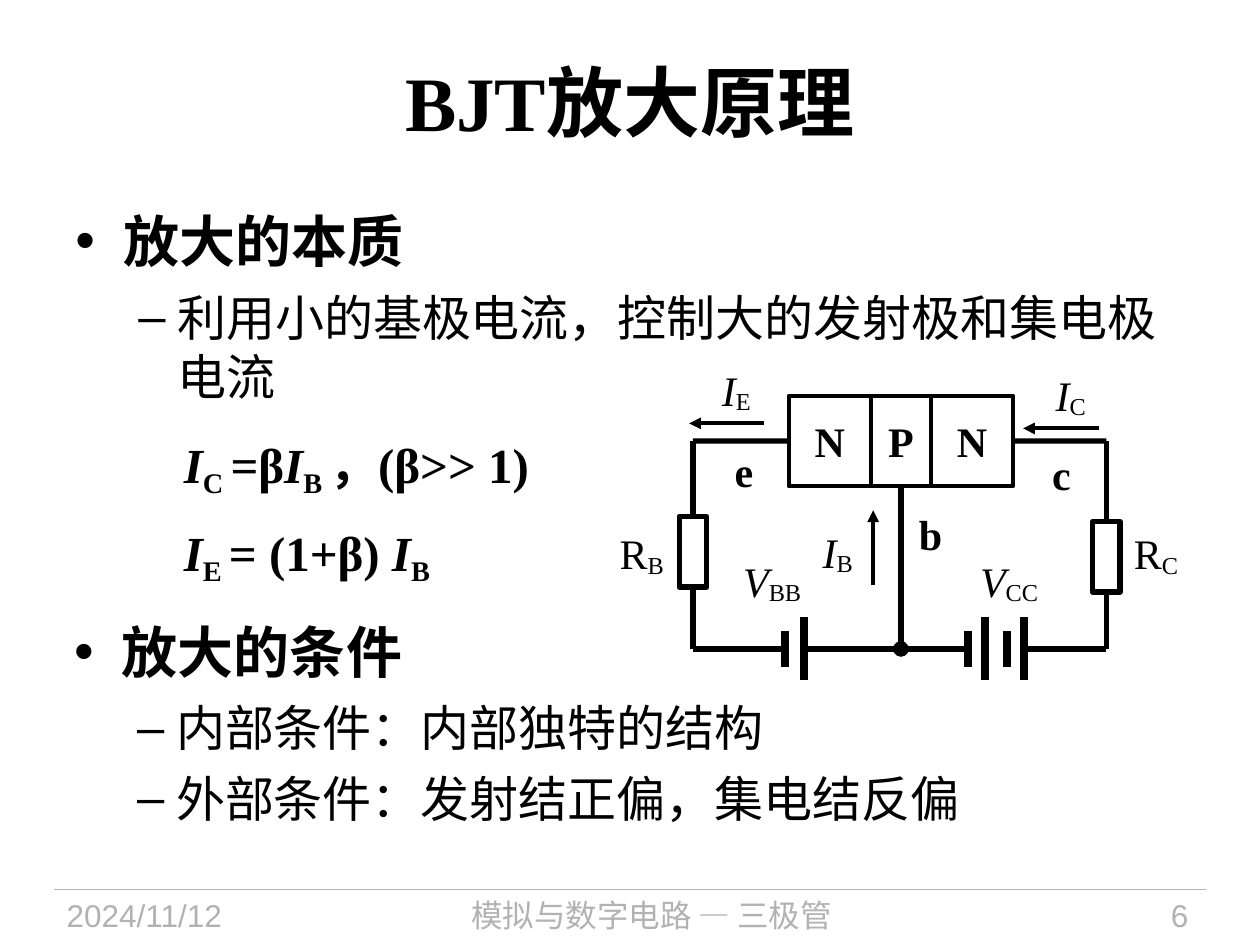
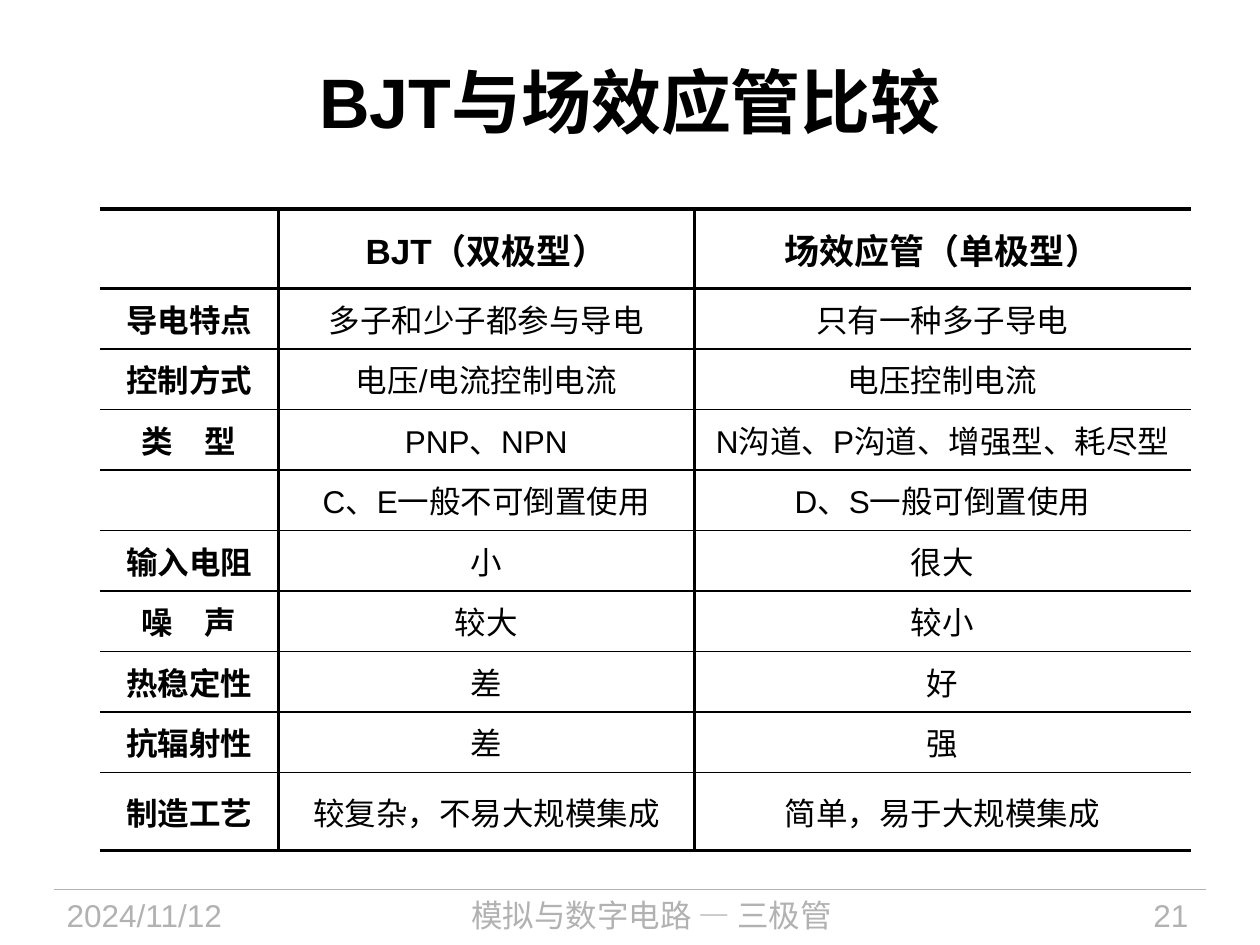
from pptx import Presentation
from pptx.dml.color import RGBColor
from pptx.enum import shapes, text
from pptx.oxml import parse_xml
from pptx.oxml.ns import nsdecls
from pptx.util import Inches, Pt

BLACK, WHITE, GREY = "000000", "FFFFFF", "B2B2B2"
SANS, SERIF = "Arial", "Times New Roman"
LEFT, CENTER, RIGHT = text.PP_ALIGN.LEFT, text.PP_ALIGN.CENTER, text.PP_ALIGN.RIGHT
MIDDLE = text.MSO_ANCHOR.MIDDLE


def color(value):
    return RGBColor.from_string(value)


def drawing(tag, body="", attributes=""):
    return parse_xml(f"<a:{tag} {nsdecls('a')} {attributes}>{body}</a:{tag}>")


def format_span(span, size, font, ink=BLACK, style="", base=0):
    span.font.size = Pt(size)
    span.font.name = font
    span.font.color.rgb = color(ink)
    span.font.bold = "b" in style
    span.font.italic = "i" in style
    if base:
        span._r.get_or_add_rPr().set("baseline", str(base * 1000))


def add_text(page, box, align=LEFT, anchor=None, wrap=True, inset=True):
    shape = page.shapes.add_textbox(*map(Inches, box))
    frame = shape.text_frame
    frame.word_wrap = wrap
    if anchor is not None:
        frame.vertical_anchor = anchor
    if not inset:
        frame.margin_left = frame.margin_right = frame.margin_top = frame.margin_bottom = 0
    frame.paragraphs[0].alignment = align
    return frame


def add_spans(para, pieces, size, ink=BLACK):
    for words, font, style, base in pieces:
        span = para.add_run()
        span.text = words
        format_span(span, size, font, ink, style, base)


def add_line(page, start, end, width=3, ink=BLACK, tail=None):
    line = page.shapes.add_connector(
        shapes.MSO_CONNECTOR.STRAIGHT, *map(Inches, (*start, *end)))
    line.line.width = Pt(width)
    line.line.color.rgb = color(ink)
    if tail:
        line.line._get_or_add_ln().append(drawing("tailEnd", attributes=f'type="{tail}"'))
    line._element.spPr.append(drawing("effectLst"))
    return line


def add_block(page, box, width, label=""):
    block = page.shapes.add_shape(shapes.MSO_SHAPE.RECTANGLE, *map(Inches, box))
    block.shadow.inherit = False
    block.fill.solid()
    block.fill.fore_color.rgb = color(WHITE)
    block.line.color.rgb = color(BLACK)
    block.line.width = Pt(width)
    if label:
        frame = block.text_frame
        frame.word_wrap = False
        frame.vertical_anchor = MIDDLE
        frame.text = label
        frame.paragraphs[0].alignment = CENTER
        format_span(frame.paragraphs[0].runs[0], 24, SERIF, style="b")
    return block


def add_title(page, pieces, size):
    frame = add_text(page, (0.5, 0.17, 9, 1.25), CENTER, MIDDLE)
    add_spans(frame.paragraphs[0], [(words, font, "b", 0) for words, font in pieces], size)


def add_footer(page, number, left=0.43, top=7.06):
    add_line(page, (left, top), (left + 9.14, top), 0.75, GREY)
    course = [("模拟与数字电路 ", SANS), ("— ", SERIF), ("三极管", SANS)]
    for offset, width, align, pieces in (
            (0, 1.88, LEFT, [("2024/11/12", SANS)]),
            (2.06, 5.36, CENTER, course),
            (7.77, 1.33, RIGHT, [(str(number), SANS)])):
        frame = add_text(page, (left + offset, top, width, 0.44), align)
        add_spans(frame.paragraphs[0], [(*piece, "", 0) for piece in pieces], 18, GREY)


def add_outline(page, box, heading, details):
    frame = add_text(page, box)
    for index, words in enumerate([heading, *details]):
        para = frame.add_paragraph() if index else frame.paragraphs[0]
        size, margin, hang, mark, style = (
            (28, 0.81, 0.31, "–", "") if index else (32, 0.38, 0.38, "•", "b"))
        para.text = words
        para.space_after = Pt(size * 0.24)
        format_span(para.runs[0], size, SANS, style=style)
        props = para._p.get_or_add_pPr()
        props.set("marL", str(Inches(margin)))
        props.set("indent", str(-Inches(hang)))
        props.append(drawing("buFont", attributes=f'typeface="{SANS}"'))
        props.append(drawing("buChar", attributes=f'char="{mark}"'))


def add_formula(page, box, pieces, wrap):
    frame = add_text(page, box, wrap=wrap, inset=False)
    add_spans(frame.paragraphs[0], [(words, SERIF, style, base) for words, style, base in pieces], 28)


def add_circuit(page, left, top):
    def at(x, y):
        return left + x, top + y

    emitter_x, base_x, collector_x = 0.7, 2.35, 3.98
    junction_y, ground_y = 0.7, 2.35

    regions = []
    x = 1.46
    for label, width in (("N", 0.65), ("P", 0.48), ("N", 0.65)):
        regions.append(add_block(page, (*at(x, 0.34), width, 0.72), 2.25, label))
        x += width
    emitter, base, collector = regions

    for region, side, start, end, tail in (
            (emitter, 1, (1.46, junction_y), (emitter_x, junction_y), None),
            (base, 2, (base_x, 1.06), (base_x, ground_y), "oval"),
            (collector, 3, (x, junction_y), (collector_x, junction_y), None)):
        wire = add_line(page, at(*start), at(*end), tail=tail)
        wire.begin_connect(region, side)

    for wire_x in (emitter_x, collector_x):
        add_line(page, at(wire_x, junction_y), at(wire_x, ground_y))
    for start, end in ((emitter_x, 1.41), (1.58, base_x), (base_x, 2.88), (3.36, collector_x)):
        add_line(page, at(start, ground_y), at(end, ground_y))

    for wire_x, resistor_y in ((emitter_x, 1.3), (collector_x, 1.34)):
        add_block(page, (*at(wire_x - 0.11, resistor_y), 0.22, 0.56), 3)

    for plate_x, half in ((1.43, 0.14), (1.58, 0.25), (2.88, 0.14),
                          (3.02, 0.25), (3.19, 0.14), (3.33, 0.25)):
        add_line(page, at(plate_x, ground_y - half), at(plate_x, ground_y + half), 4.5)

    for start, end in (((2.13, 1.84), (2.13, 1.25)),
                       ((1.26, 0.56), (0.67, 0.56)),
                       ((3.92, 0.6), (3.32, 0.6))):
        add_line(page, at(*start), at(*end), 2.25, tail="triangle")

    for name, label_x, label_y, width in (
            ("e", 0.71, 0.69, 0.79), ("b", 2.39, 1.19, 0.39), ("c", 3.27, 0.71, 0.71)):
        frame = add_text(page, (*at(label_x, label_y), width, 0.5), CENTER, wrap=False)
        add_spans(frame.paragraphs[0], [(name, SERIF, "b", 0)], 24)

    for symbol, index, style, label_x, label_y, width in (
            ("R", "B", "", 0.02, 1.34, 0.57), ("R", "C", "", 4.1, 1.34, 0.57),
            ("V", "BB", "i", 1, 1.56, 0.7), ("V", "CC", "i", 2.88, 1.56, 0.7),
            ("I", "B", "i", 1.63, 1.33, 0.46), ("I", "E", "i", 0.83, 0.04, 0.45),
            ("I", "C", "i", 3.48, 0.08, 0.46)):
        frame = add_text(page, (*at(label_x, label_y), width, 0.5), wrap=False)
        add_spans(frame.paragraphs[0],
                  [(symbol, SERIF, style, 0), (index, SERIF, "", -10)], 24)


def set_borders(cell, widths):
    props = cell._tc.get_or_add_tcPr()
    for index, (side, width) in enumerate(zip("LRTB", widths)):
        paint = (f'<a:solidFill><a:srgbClr val="{BLACK}"/></a:solidFill>'
                 if width else "<a:noFill/>")
        props.insert(index, drawing(f"ln{side}", paint, f'w="{Pt(width)}"'))


def add_comparison(page, left, top, rows):
    columns = (1.42, 3.3, 3.94)
    heights = (0.63, *[0.48] * 8, 0.62)
    width = sum(columns)
    table = page.shapes.add_table(
        len(rows), len(columns), *map(Inches, (left, top, width, sum(heights)))).table
    table.first_row = table.horz_banding = False
    for column, size in zip(table.columns, columns):
        column.width = Inches(size)
    last_row, last_column = len(rows) - 1, len(columns) - 1
    for r, (row, height) in enumerate(zip(rows, heights)):
        table.rows[r].height = Inches(height)
        for c, words in enumerate(row):
            cell = table.cell(r, c)
            cell.fill.background()
            cell.vertical_anchor = MIDDLE
            cell.margin_left = cell.margin_right = cell.margin_top = cell.margin_bottom = 0
            set_borders(cell, (2.25 if c else 0, 2.25 if c < last_column else 0,
                               1 if r else 2.25, 1 if r < last_row else 2.25))
            cell.text = words
            para = cell.text_frame.paragraphs[0]
            para.alignment = CENTER
            for span in para.runs:
                format_span(span, 18 if r else 20, SANS, style="" if r and c else "b")
    rule_y = top + heights[0]
    add_line(page, (left, rule_y), (left + width, rule_y), 2.25)


def build_amplification(page):
    add_footer(page, 6)
    add_title(page, [("BJT", SERIF), ("放大原理", SANS)], 44)
    add_outline(page, (0.5, 1.59, 9.03, 1.69), "放大的本质",
                ["利用小的基极电流，控制大的发射极和集电极电流"])
    add_outline(page, (0.49, 4.85, 7.74, 2.2), "放大的条件",
                ["内部条件：内部独特的结构", "外部条件：发射结正偏，集电结反偏"])
    add_circuit(page, 4.8, 2.8)
    add_formula(page, (1.46, 3.45, 3.22, 0.47),
                [("I", "bi", 0), ("C ", "b", -20), ("=β", "b", 0), ("I", "bi", 0),
                 ("B ", "b", -20), ("，(β>> 1)", "b", 0)], False)
    add_formula(page, (1.46, 4.15, 2.6, 0.47),
                [("I", "bi", 0), ("E ", "b", -20), ("= (1+β) ", "b", 0),
                 ("I", "bi", 0), ("B", "b", -20)], True)


def build_comparison(page):
    add_footer(page, 21)
    add_title(page, [("BJT与场效应管比较", SANS)], 40)
    add_comparison(page, 0.79, 1.66, [
        ("", "BJT（双极型）", "场效应管（单极型）"),
        ("导电特点", "多子和少子都参与导电", "只有一种多子导电"),
        ("控制方式", "电压/电流控制电流", "电压控制电流"),
        ("类　型", "PNP、NPN", "N沟道、P沟道、增强型、耗尽型"),
        ("", "C、E一般不可倒置使用", "D、S一般可倒置使用"),
        ("输入电阻", "小", "很大"),
        ("噪　声", "较大", "较小"),
        ("热稳定性", "差", "好"),
        ("抗辐射性", "差", "强"),
        ("制造工艺", "较复杂，不易大规模集成", "简单，易于大规模集成"),
    ])


def main():
    deck = Presentation()
    deck.slide_width, deck.slide_height = Inches(10), Inches(7.5)
    for build in (build_amplification, build_comparison):
        build(deck.slides.add_slide(deck.slide_layouts[6]))
    deck.save("out.pptx")


if __name__ == "__main__":
    main()
